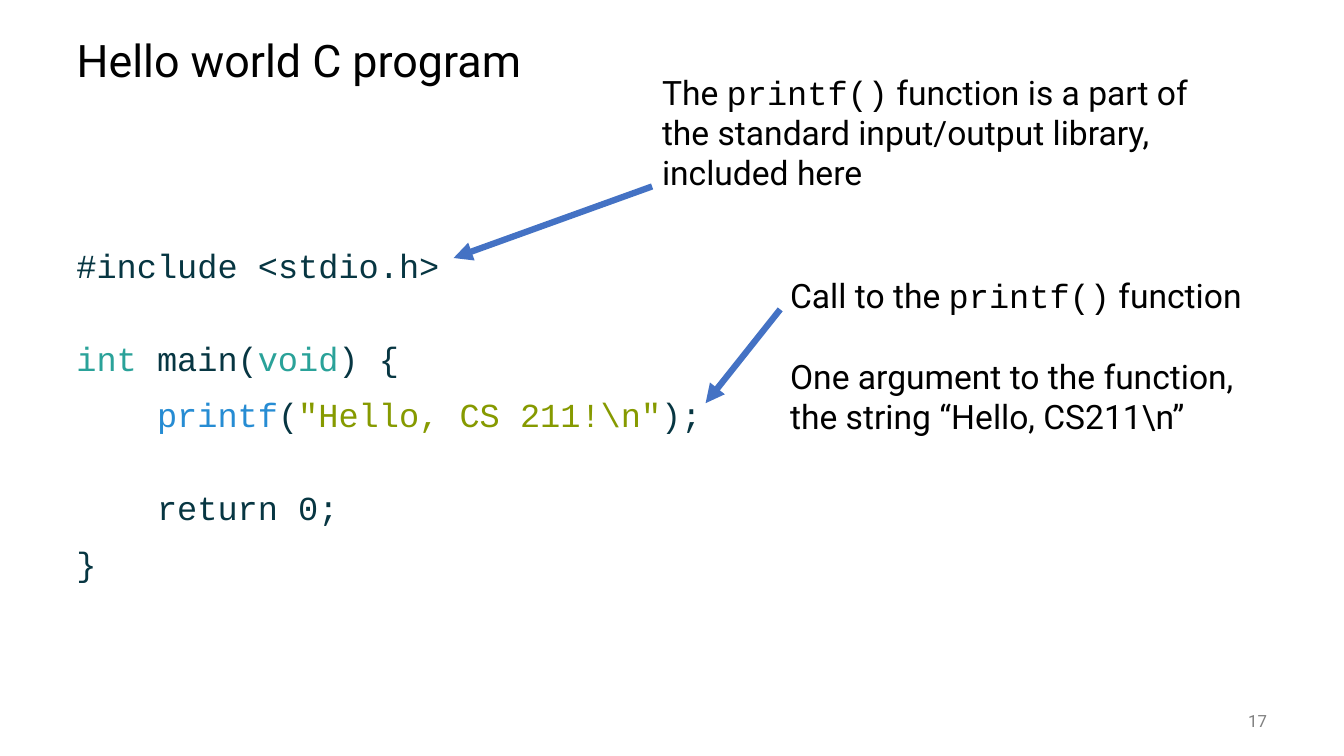
"""Build a slide that explains a hello world program in C."""
import dataclasses

import lxml.etree
import pptx
import pptx.dml.color
import pptx.enum.shapes
import pptx.enum.text
import pptx.oxml.ns
import pptx.util

Pt = pptx.util.Pt
ALIGN = pptx.enum.text.PP_ALIGN
ANCHOR = pptx.enum.text.MSO_ANCHOR
SANS, MONO = "Roboto", "Courier New"
BLACK, GREY, ARROW = "000000", "808080", "4472C4"
DARK, TEAL, BLUE, GREEN = "073642", "2AA299", "268CD3", "869A00"


@dataclasses.dataclass
class Run:
    text: str
    color: str = BLACK
    font: str = SANS


@dataclasses.dataclass
class Para:
    runs: list[Run]
    gap: float = 0


@dataclasses.dataclass
class Box:
    left: float
    top: float
    width: float
    height: float
    paras: list[Para]


@dataclasses.dataclass
class Arrow:
    start: tuple[float, float]
    end: tuple[float, float]


def paint(color: str) -> pptx.dml.color.RGBColor:
    return pptx.dml.color.RGBColor.from_string(color)


def write(shape, paras: list[Para], *, size: float = 24, align=ALIGN.LEFT,
          anchor=ANCHOR.TOP, lead=None, inset: float = 3.6) -> None:
    frame = shape.text_frame
    frame.word_wrap = True
    frame.auto_size = pptx.enum.text.MSO_AUTO_SIZE.NONE
    frame.vertical_anchor = anchor
    frame.margin_top = frame.margin_bottom = Pt(inset)
    for index, para in enumerate(paras):
        line = frame.add_paragraph() if index else frame.paragraphs[0]
        line.alignment = align
        line.space_before = Pt(para.gap)
        if lead:
            line.line_spacing = lead
        for part in para.runs:
            run = line.add_run()
            run.text = part.text
            run.font.size = Pt(size)
            run.font.name = part.font
            run.font.color.rgb = paint(part.color)


def place(shape, box: Box) -> None:
    shape.left, shape.top = Pt(box.left), Pt(box.top)
    shape.width, shape.height = Pt(box.width), Pt(box.height)


def add_box(slide, box: Box, **style) -> None:
    shape = slide.shapes.add_textbox(0, 0, 0, 0)
    place(shape, box)
    write(shape, box.paras, **style)


def add_arrow(slide, arrow: Arrow) -> None:
    link = slide.shapes.add_connector(
        pptx.enum.shapes.MSO_CONNECTOR.STRAIGHT,
        *map(Pt, arrow.start + arrow.end))
    link.line.color.rgb = paint(ARROW)
    link.line.width = Pt(4.5)
    qn = pptx.oxml.ns.qn
    lxml.etree.SubElement(link.line._get_or_add_ln(), qn("a:tailEnd"),
                          type="triangle")
    lxml.etree.SubElement(link._element.spPr, qn("a:effectLst"))


def code(*parts: tuple[str, str], gap: float = 14) -> Para:
    return Para([Run(text, color, MONO) for text, color in parts], gap)


TITLE = Box(47.5, 18, 864, 54, [Para([Run("Hello world C program")])])
CODE = Box(47.5, 177.5, 864, 300, [
    code(("#include <stdio.h>", DARK), gap=0),
    code(("int ", TEAL), ("main(", DARK), ("void", TEAL), (") {", DARK),
         gap=40.2),
    code(("    printf", BLUE), ("(", DARK),
         ("\"Hello, CS 211!\\n\"", GREEN), (");", DARK)),
    code(("    return 0;", DARK), gap=40.2),
    code(("}", DARK)),
])
PRINT = Run("printf()", font=MONO)
NOTES = [
    Box(557.3, 193, 339.8, 123.8, [
        Para([Run("Call to the "), PRINT, Run(" function")]),
        Para([Run("One argument to the function, "
                  "the string “Hello, CS211\\n”")], 28.8),
    ]),
    Box(465.8, 47.5, 399.6, 94.3, [
        Para([Run("The "), PRINT,
              Run(" function is a part of the standard "
                  "input/output library, included here")]),
    ]),
]
NUMBER = Box(840.2, 500.4, 72, 28.8, [Para([Run("17", GREY)])])
ARROWS = [Arrow((557.3, 221), (504, 288)),
          Arrow((465.8, 133.2), (324, 184.3))]


def main() -> None:
    deck = pptx.Presentation()
    deck.slide_width, deck.slide_height = Pt(960), Pt(540)
    slide = deck.slides.add_slide(deck.slide_layouts.get_by_name("Title Only"))
    title = slide.shapes.title
    place(title, TITLE)
    write(title, TITLE.paras, size=32, anchor=ANCHOR.MIDDLE, lead=0.9)
    add_box(slide, CODE, lead=Pt(26.2), inset=0)
    add_box(slide, NUMBER, size=12, align=ALIGN.RIGHT, anchor=ANCHOR.MIDDLE)
    for note in NOTES:
        add_box(slide, note)
    for arrow in ARROWS:
        add_arrow(slide, arrow)
    deck.save("out.pptx")


if __name__ == "__main__":
    main()
